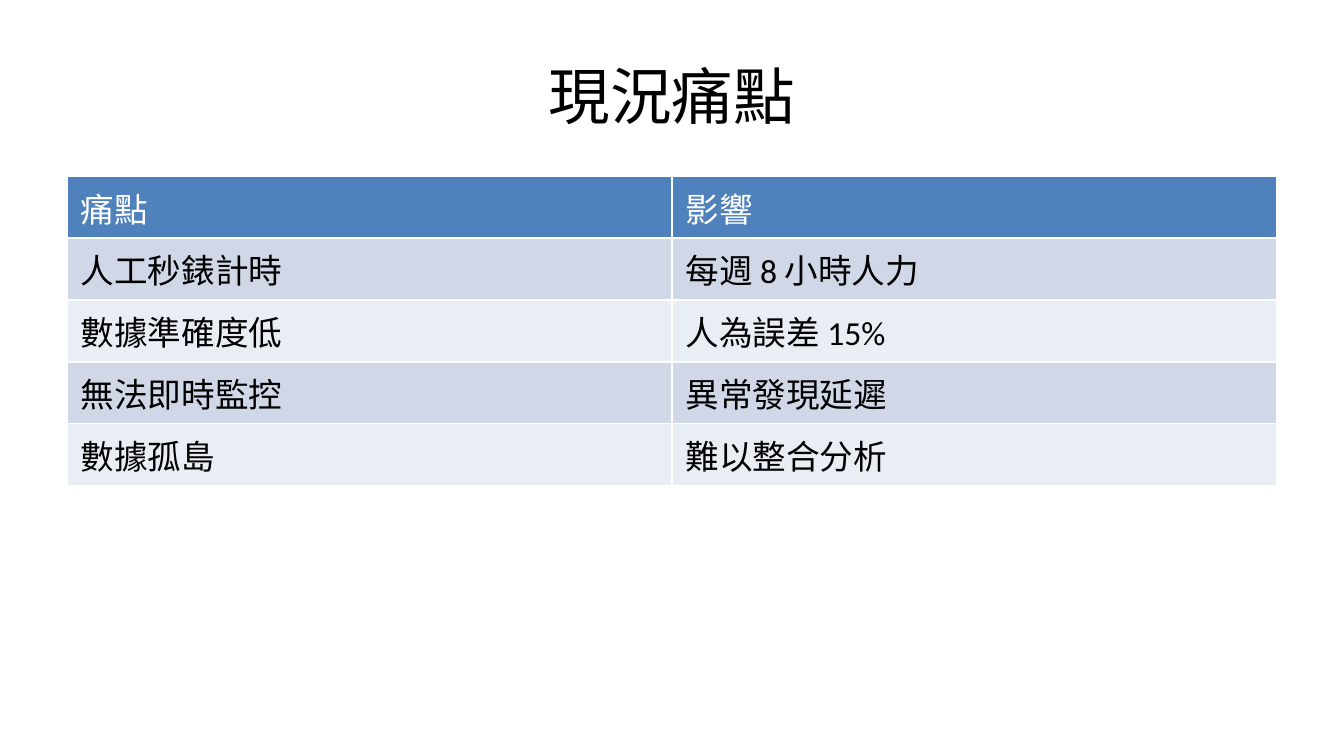
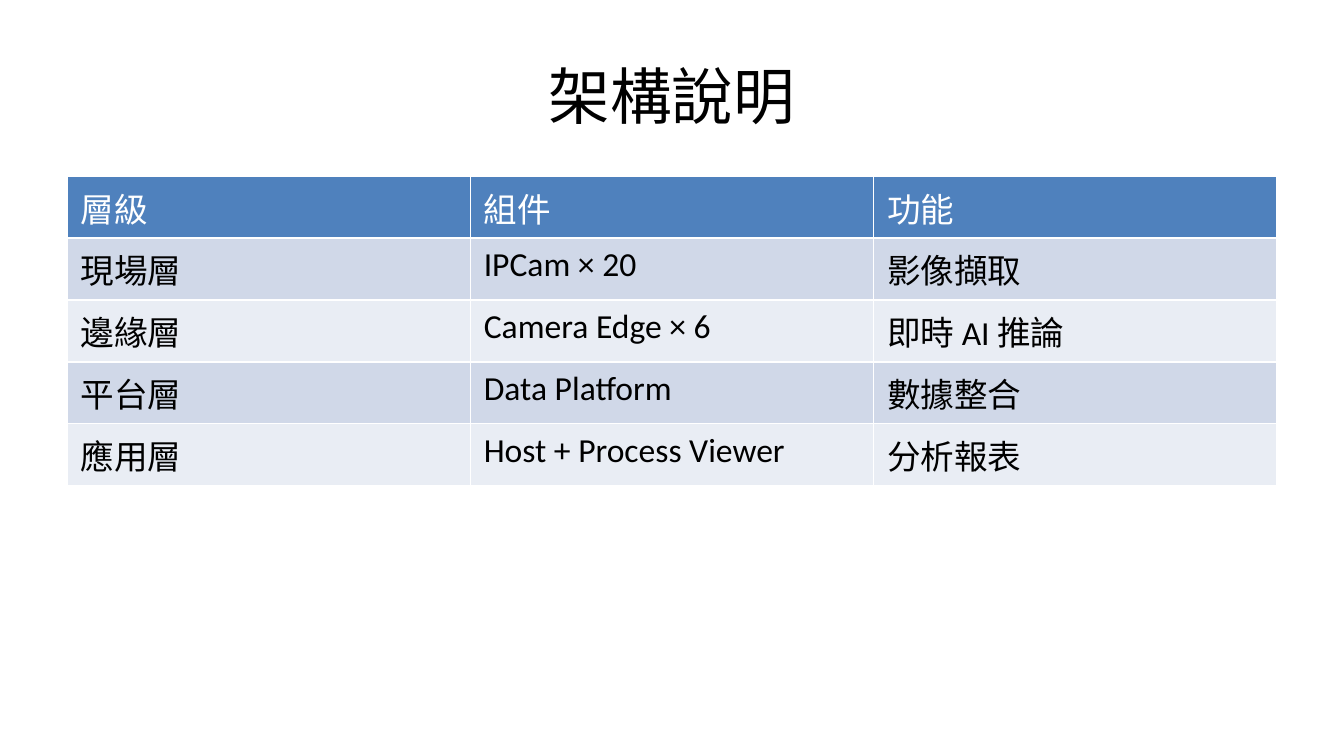
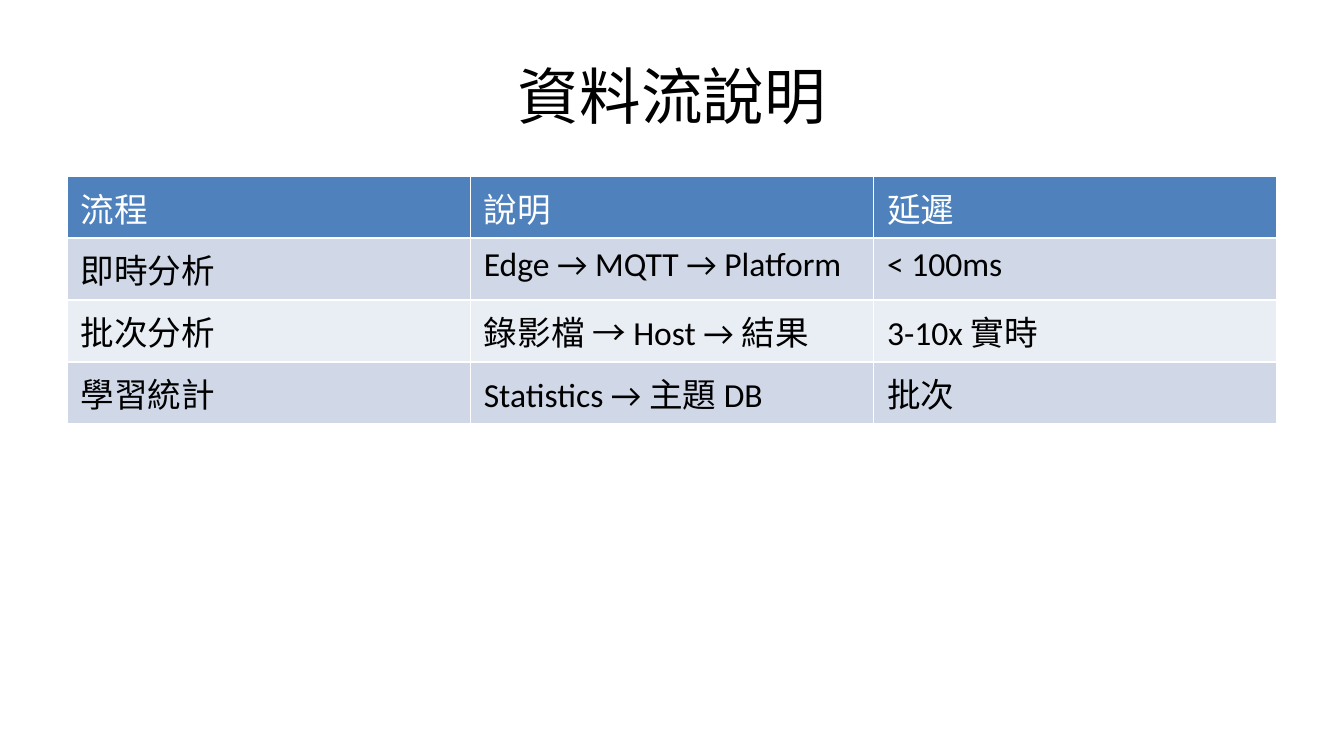
import pptx
import pptx.util
import pptx.dml.color
import pptx.enum.text
from dataclasses import dataclass


@dataclass(frozen=True)
class Theme:
    font: str = "Calibri"
    title_size: int = 33
    cell_size: int = 18
    text: str = "000000"
    header_text: str = "FFFFFF"
    header_fill: str = "4F81BD"
    bands: tuple = ("D0D8E8", "E9EDF4")


THEME = Theme()

# Slide grid: 20 columns by 24 rows
WIDTH, HEIGHT = pptx.util.Inches(10), pptx.util.Inches(5.625)
COL, ROW = WIDTH / 20, HEIGHT / 24
MARGIN, CONTENT = 1, 18
TITLE_TOP, TITLE_ROWS = 1, 4
TABLE_TOP = 5.6
TABLE_ROW = pptx.util.Inches(0.46)

SLIDES = [
    ("現況痛點", [
        ("痛點", "影響"),
        ("人工秒錶計時", "每週 8 小時人力"),
        ("數據準確度低", "人為誤差 15%"),
        ("無法即時監控", "異常發現延遲"),
        ("數據孤島", "難以整合分析"),
    ]),
    ("架構說明", [
        ("層級", "組件", "功能"),
        ("現場層", "IPCam × 20", "影像擷取"),
        ("邊緣層", "Camera Edge × 6", "即時 AI 推論"),
        ("平台層", "Data Platform", "數據整合"),
        ("應用層", "Host + Process Viewer", "分析報表"),
    ]),
    ("資料流說明", [
        ("流程", "說明", "延遲"),
        ("即時分析", "Edge → MQTT → Platform", "< 100ms"),
        ("批次分析", "錄影檔 → Host → 結果", "3-10x 實時"),
        ("學習統計", "Statistics → 主題 DB", "批次"),
    ]),
]


def rgb(value):
    return pptx.dml.color.RGBColor.from_string(value)


def write(tf, text, size=THEME.cell_size, color=THEME.text, align=None):
    p = tf.paragraphs[0]
    p.alignment = align
    r = p.add_run()
    r.text = text
    r.font.name = THEME.font
    r.font.size = pptx.util.Pt(size)
    r.font.bold = False
    r.font.color.rgb = rgb(color)


def add_title(s, text):
    sp = s.shapes.add_textbox(int(MARGIN * COL), int(TITLE_TOP * ROW),
                              int(CONTENT * COL), int(TITLE_ROWS * ROW))
    tf = sp.text_frame
    tf.word_wrap = True
    tf.vertical_anchor = pptx.enum.text.MSO_ANCHOR.MIDDLE
    write(tf, text, size=THEME.title_size, align=pptx.enum.text.PP_ALIGN.CENTER)


def add_banded_table(s, rows):
    frame = s.shapes.add_table(len(rows), len(rows[0]),
                               int(MARGIN * COL), int(TABLE_TOP * ROW),
                               int(CONTENT * COL), TABLE_ROW * len(rows))
    for i, row in enumerate(rows):
        fill = THEME.bands[(i - 1) % 2] if i else THEME.header_fill
        color = THEME.text if i else THEME.header_text
        for j, text in enumerate(row):
            cell = frame.table.cell(i, j)
            cell.fill.solid()
            cell.fill.fore_color.rgb = rgb(fill)
            write(cell.text_frame, text, color=color)


def main():
    prs = pptx.Presentation()
    prs.slide_width, prs.slide_height = WIDTH, HEIGHT
    for title, rows in SLIDES:
        s = prs.slides.add_slide(prs.slide_layouts[6])
        add_title(s, title)
        add_banded_table(s, rows)
    prs.save("out.pptx")


if __name__ == "__main__":
    main()
